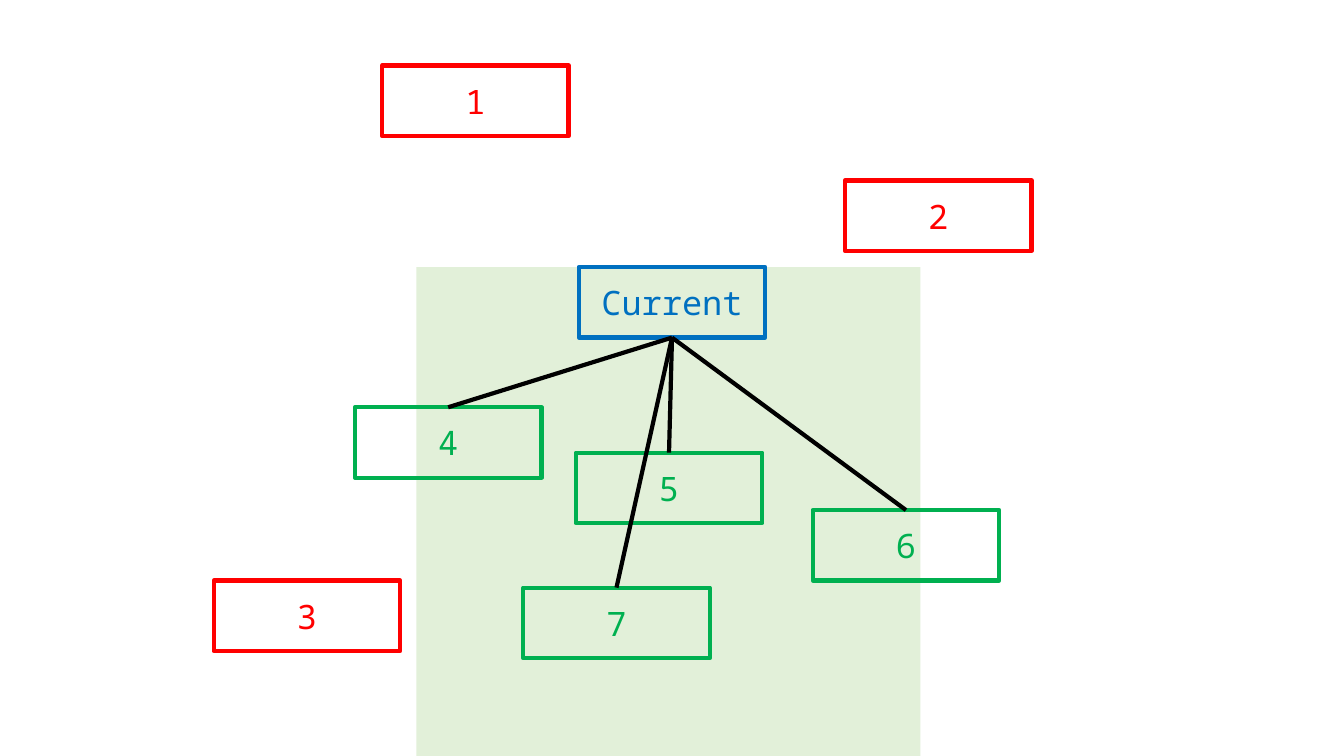
from dataclasses import dataclass

from pptx import Presentation
from pptx.dml.color import RGBColor as Rgb
from pptx.enum.shapes import MSO_CONNECTOR as Wire, MSO_SHAPE as Form
from pptx.enum.text import MSO_ANCHOR as Anchor, PP_ALIGN as Align
from pptx.oxml.ns import qn
from pptx.util import Inches, Pt


@dataclass(frozen=True)
class Theme:
    """Colours and type of the slide."""
    zone: Rgb = Rgb(0xE2, 0xF0, 0xD9)
    main: Rgb = Rgb(0x00, 0x70, 0xC0)
    out: Rgb = Rgb(0xFF, 0x00, 0x00)
    near: Rgb = Rgb(0x00, 0xB0, 0x50)
    link: Rgb = Rgb(0, 0, 0)
    font: str = "Noto Sans Mono"
    size: Pt = Pt(24)
    line: Pt = Pt(3)


THEME = Theme()
NODE = (13.88, 9.33)
ZONE = (30.98, 35.33, 37.51, 64.67)
MAIN = (43.06, 35.33)
OUT = {"1": (28.43, 8.67), "2": (62.87, 23.87), "3": (15.9, 76.8)}
NEAR = {"4": (26.41, 53.87), "5": (42.84, 59.87),
        "6": (60.47, 67.47), "7": (38.93, 77.73)}


def place(box, x, y, w, h):
    """Turn percentages of a box into slide lengths."""
    left, top, wide, high = box
    return (int(left + wide * x / 100), int(top + high * y / 100),
            int(wide * w / 100), int(high * h / 100))


def rect(slide, area):
    """Add a rectangle without a shadow."""
    shape = slide.shapes.add_shape(Form.RECTANGLE, *area)
    shape.shadow.inherit = False
    return shape


def zone(slide, box):
    """Shade the visible region below the current node."""
    shape = rect(slide, place(box, *ZONE))
    shape.fill.solid()
    shape.fill.fore_color.rgb = THEME.zone
    shape.line.fill.background()


def node(slide, box, name, spot, hue):
    """Add an outlined node with its label."""
    shape = rect(slide, place(box, *spot, *NODE))
    shape.fill.background()
    shape.line.color.rgb = hue
    shape.line.width = THEME.line
    frame = shape.text_frame
    frame.vertical_anchor = Anchor.MIDDLE
    para = frame.paragraphs[0]
    para.text = name
    para.alignment = Align.CENTER
    para.font.name = THEME.font
    para.font.size = THEME.size
    para.font.color.rgb = hue
    return shape


def link(slide, head, child):
    """Join the bottom of one node to the top of another."""
    wire = slide.shapes.add_connector(Wire.STRAIGHT, 0, 0, 0, 0)
    wire.begin_connect(head, 2)
    wire.end_connect(child, 0)
    wire.line.color.rgb = THEME.link
    wire.line.width = THEME.line
    props = wire._element.spPr
    props.append(props.makeelement(qn("a:effectLst"), {}))


def graph(slide, box):
    """Draw the nodes and link the near ones to the current one."""
    head = node(slide, box, "Current", MAIN, THEME.main)
    for name, spot in OUT.items():
        node(slide, box, name, spot, THEME.out)
    for name, spot in NEAR.items():
        link(slide, head, node(slide, box, name, spot, THEME.near))


def main():
    """Build and save the slide."""
    deck = Presentation()
    deck.slide_width, deck.slide_height = Inches(13.33), Inches(7.5)
    slide = deck.slides.add_slide(deck.slide_layouts[6])
    box = (0, 0, deck.slide_width, deck.slide_height)
    zone(slide, box)
    graph(slide, box)
    deck.save("out.pptx")


if __name__ == "__main__":
    main()
